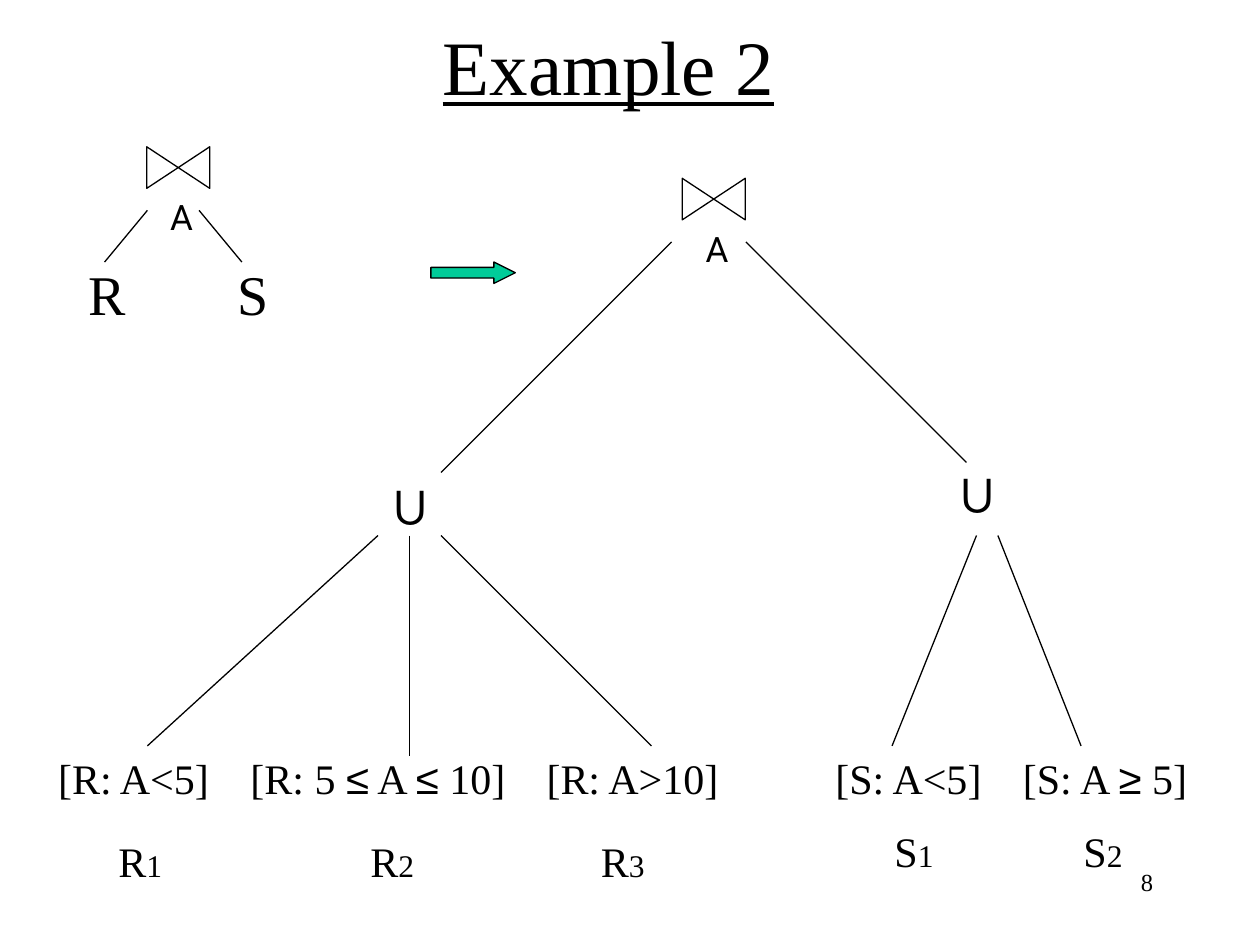
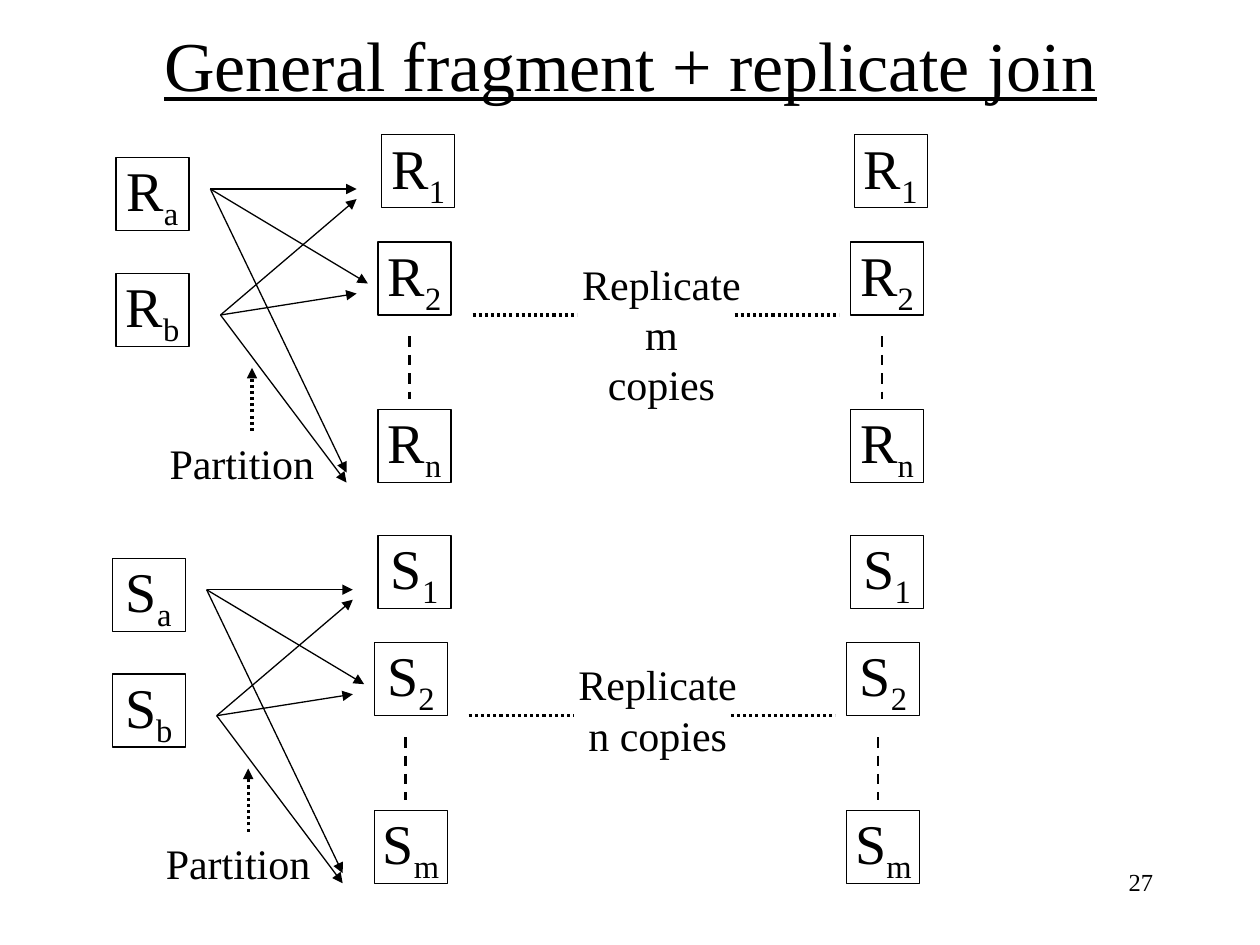
"""Build two slides about fragmented joins: a join tree and a fragment and replicate diagram."""
from dataclasses import dataclass
from typing import Any

from lxml.etree import SubElement
from pptx import Presentation
from pptx.dml.color import RGBColor
from pptx.enum.dml import MSO_LINE
from pptx.enum.shapes import MSO_CONNECTOR, MSO_SHAPE
from pptx.enum.text import MSO_ANCHOR, PP_ALIGN
from pptx.oxml.ns import qn
from pptx.util import Inches, Pt

COLORS = {"ink": "000000", "paper": "FFFFFF", "arrow": "00CC99"}
SERIF, SANS, JOIN_FONT = "Times New Roman", "Arial", "Roboto"
BOX_SIDE = 0.58
DOT, DASH = (1.75, MSO_LINE.ROUND_DOT), (1.5, MSO_LINE.DASH)
THIN = (0.75, None)


@dataclass(frozen=True)
class Run:
    text: str
    size: float = 24
    font: str = SERIF
    underline: bool = False
    baseline: int = 0


@dataclass(frozen=True)
class Label:
    x: float
    y: float
    w: float
    h: float
    runs: tuple[Run, ...]
    align: Any = PP_ALIGN.CENTER
    anchor: Any = MSO_ANCHOR.MIDDLE
    wrap: bool = False


@dataclass(frozen=True)
class Link:
    x1: float
    y1: float
    x2: float
    y2: float
    style: tuple[float, Any] = THIN
    arrow: bool = False


def color(name: str) -> RGBColor:
    return RGBColor.from_string(COLORS[name])


def apply(target: Any, formats: dict[str, Any]) -> None:
    for name, value in formats.items():
        setattr(target, name, value)


def inches(*values: float) -> list[Inches]:
    return [Inches(v) for v in values]


def write(sp: Any, label: Label) -> None:
    tf = sp.text_frame
    apply(tf, {"word_wrap": label.wrap, "vertical_anchor": label.anchor})
    p = tf.paragraphs[0]
    p.alignment = label.align
    for n, line in enumerate(split_lines(label.runs)):
        if n:
            p.add_line_break()
        for run in line:
            r = p.add_run()
            r.text = run.text
            apply(r.font, {"size": Pt(run.size), "name": run.font,
                           "underline": run.underline})
            r.font.color.rgb = color("ink")
            if run.baseline:
                r.font._element.set("baseline", str(run.baseline * 1000))


def split_lines(runs: tuple[Run, ...]) -> list[list[Run]]:
    lines: list[list[Run]] = [[]]
    for run in runs:
        if run.text == "\n":
            lines.append([])
        else:
            lines[-1].append(run)
    return lines


def add_label(s: Any, label: Label) -> None:
    write(s.shapes.add_textbox(*inches(label.x, label.y, label.w, label.h)), label)


def add_shape(s: Any, kind: Any, x: float, y: float, w: float, h: float,
              fill: str = "paper") -> Any:
    sp = s.shapes.add_shape(kind, *inches(x, y, w, h))
    sp.shadow.inherit = False
    sp.fill.solid()
    sp.fill.fore_color.rgb = color(fill)
    sp.line.color.rgb = color("ink")
    sp.line.width = Pt(0.75)
    return sp


def add_link(s: Any, link: Link) -> None:
    cx = s.shapes.add_connector(MSO_CONNECTOR.STRAIGHT,
                                *inches(link.x1, link.y1, link.x2, link.y2))
    width, dash = link.style
    cx.line.color.rgb = color("ink")
    cx.line.width = Pt(width)
    if dash is not None:
        cx.line.dash_style = dash
    if link.arrow:
        SubElement(cx.line._get_or_add_ln(), qn("a:tailEnd"), type="triangle")
    SubElement(cx._element.spPr, qn("a:effectLst"))


def add_slide(prs: Any, title: Label, number: str) -> Any:
    s = prs.slides.add_slide(prs.slide_layouts[6])
    add_label(s, title)
    add_label(s, Label(7.17, 6.83, 2.08, 0.5, (Run(number, 14),),
                       PP_ALIGN.RIGHT, MSO_ANCHOR.TOP, True))
    return s


def add_join(s: Any, x: float, y: float) -> None:
    sp = add_shape(s, MSO_SHAPE.FLOWCHART_COLLATE, x, y, 0.33, 0.5)
    sp.rotation = 270
    add_label(s, Label(x, y + 0.42, 0.38, 0.44, (Run("A", 20, JOIN_FONT),)))


def add_box(s: Any, x: float, y: float, name: str, index: str) -> None:
    sp = add_shape(s, MSO_SHAPE.RECTANGLE, x, y, BOX_SIDE, BOX_SIDE)
    write(sp, Label(x, y, BOX_SIDE, BOX_SIDE,
                    (Run(name, 32), Run(index, 32, baseline=-25))))


def build_join_tree(prs: Any) -> None:
    s = add_slide(prs, Label(0.58, 0.17, 8.5, 0.69,
                             (Run("Example 2", 44, underline=True),), wrap=True), "8")
    for x, y in ((1.25, 1.08), (5.5, 1.33)):
        add_join(s, x, y)
    for name, x in (("R", 0.6), ("S", 1.76)):
        add_label(s, Label(x, 1.98, 0.5, 0.69, (Run(name, 32),)))
    for x, y in ((3, 3.67), (7.5, 3.58)):
        add_label(s, Label(x, y, 0.55, 0.64, (Run("∪", 32, SANS),), PP_ALIGN.LEFT))
    sp = add_shape(s, MSO_SHAPE.RIGHT_ARROW, 3.42, 2.08, 0.67, 0.17, "arrow")
    sp.adjustments[1] = 1

    branches = (
        (1.17, 1.67, 0.83, 2.08), (1.58, 1.67, 1.92, 2.08),
        (5.33, 1.92, 3.5, 3.75), (5.92, 1.92, 7.67, 3.67),
        (3, 4.25, 1.17, 5.92), (3.25, 4.25, 3.25, 6), (3.5, 4.25, 5.17, 5.92),
        (7.75, 4.25, 7.08, 5.92), (7.92, 4.25, 8.58, 5.92),
    )
    for ends in branches:
        add_link(s, Link(*ends))

    le, ge = Run("≤", font=SANS), Run("≥", font=SANS)
    conditions = (
        (1.06, 1.6, (Run("[R: A<5]"),)),
        (3, 2.4, (Run("[R: 5 "), le, Run(" A "), le, Run(" 10]"))),
        (5.02, 1.6, (Run("[R: A>10]"),)),
        (7.21, 1.6, (Run("[S: A<5]"),)),
        (8.77, 1.6, (Run("[S: A "), ge, Run(" 5]"))),
    )
    for center, width, runs in conditions:
        add_label(s, Label(center - width / 2, 5.92, width, 0.5, runs))

    fragments = (("R", "1", 0.84, 6.58), ("R", "2", 2.84, 6.58), ("R", "3", 4.67, 6.58),
                 ("S", "1", 7, 6.5), ("S", "2", 8.5, 6.5))
    for name, index, x, y in fragments:
        add_label(s, Label(x, y, 0.55, 0.5, (Run(name), Run(index, 18)), PP_ALIGN.LEFT))


def add_relation(s: Any, name: str, last: str, copies: tuple[str, ...],
                 dx: float, dy: float) -> None:
    for index, y in (("a", 1.25), ("b", 2.17)):
        add_box(s, 0.92 + dx, y + dy, name, index)
    for column in (0, 3.75):
        for index, x, y in (("1", 3.03, 1.07), ("2", 3, 1.92), (last, 3, 3.25)):
            add_box(s, x + column + dx, y + dy, name, index)

    fans = {(1.67, 1.5): ((2.83, 1.5), (2.92, 2.25), (2.75, 3.75)),
            (1.75, 2.5): ((2.83, 1.58), (2.83, 2.33), (2.75, 3.83))}
    links = [Link(*start, *end, arrow=True) for start, ends in fans.items() for end in ends]
    links.append(Link(2, 3.42, 2, 2.92, DOT, True))
    links += [Link(x, 2.67, x, 3.17, DASH) for x in (3.25, 7)]
    links += [Link(x, 2.5, x + 0.83, 2.5, DOT) for x in (3.75, 5.83)]
    for k in links:
        add_link(s, Link(k.x1 + dx, k.y1 + dy, k.x2 + dx, k.y2 + dy, k.style, k.arrow))

    add_label(s, Label(1.17 + dx, 3.42 + dy, 1.5, 0.5, (Run("Partition"),), wrap=True))
    runs = [Run("Replicate")]
    for line in copies:
        runs += [Run("\n"), Run(line)]
    add_label(s, Label(4.5 + dx, 2 + dy, 1.5, 0.5 + 0.4 * len(copies), tuple(runs),
                       anchor=MSO_ANCHOR.TOP, wrap=True))


def build_replicate_join(prs: Any) -> None:
    title = Run("General fragment + replicate join", 40, underline=True)
    s = add_slide(prs, Label(0.42, 0.17, 9.17, 0.67, (title,), wrap=True), "27")
    add_relation(s, "R", "n", ("m", "copies"), 0, 0)
    add_relation(s, "S", "m", ("n copies",), -0.03, 3.18)


def main() -> None:
    prs = Presentation()
    apply(prs, {"slide_width": Inches(10), "slide_height": Inches(7.5)})
    build_join_tree(prs)
    build_replicate_join(prs)
    prs.save("out.pptx")


if __name__ == "__main__":
    main()
